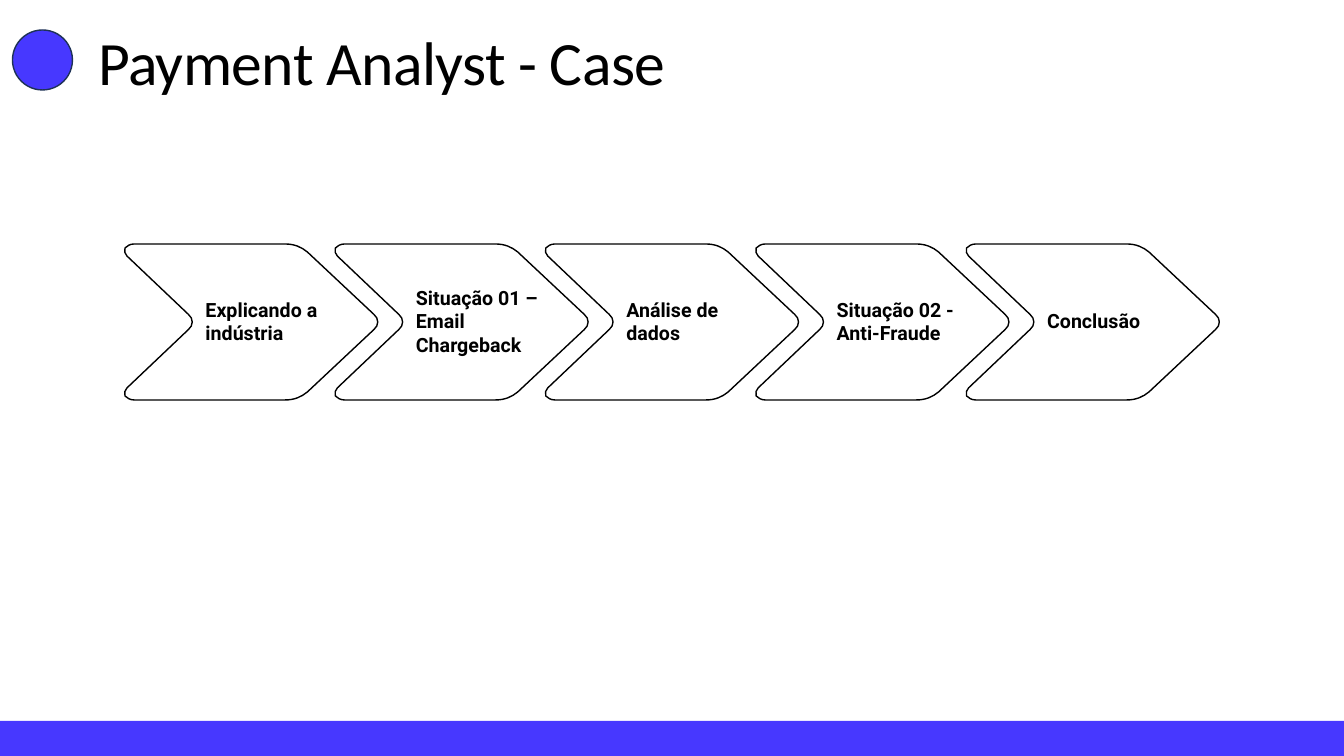
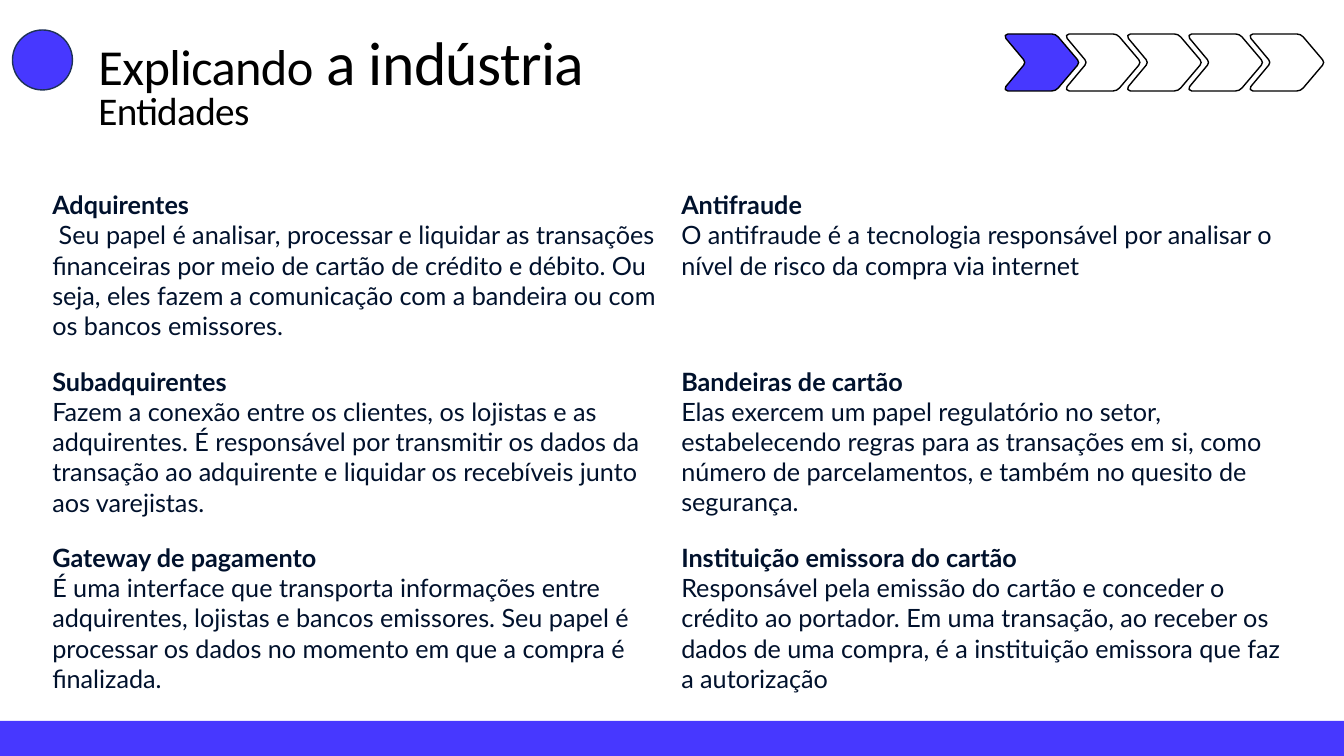
import pptx
import pptx.util
import pptx.dml.color
import pptx.enum.shapes
import pptx.enum.text
import pptx.oxml.ns
import lxml.etree

BLUE = pptx.dml.color.RGBColor(0x47, 0x38, 0xFF)
DARK_BLUE = pptx.dml.color.RGBColor(0x1E, 0x32, 0x56)
NAVY = pptx.dml.color.RGBColor(0x00, 0x11, 0x2C)
BLACK = pptx.dml.color.RGBColor(0x00, 0x00, 0x00)
WHITE = pptx.dml.color.RGBColor(0xFF, 0xFF, 0xFF)

SLIDE_W, SLIDE_H = 1344, 756
PX = 12192000 / SLIDE_W

BAND = (-30, 721, 1405, 73)
DOT = (12.5, 30, 60, 60)
TITLE = (97, 22, 658, 76)
SUBTITLE = (97, 85, 658, 49)

# Titles are lists of (text, size) runs.
CASE_TITLE = [("Payment Analyst - Case", 44)]
INDUSTRY_TITLE = [("Explicando", 36), (" a indústria", 44)]
INDUSTRY_SUBTITLE = [("Entidades", 28)]

# Agenda steps with the number of lines each label takes.
STEPS = [
    ("Explicando a indústria", 2),
    ("Situação 01 – Email Chargeback", 3),
    ("Análise de dados", 2),
    ("Situação 02 -\nAnti-Fraude", 2),
    ("Conclusão", 1),
]
AGENDA = dict(left=124, top=244, step=210.4, width=255, height=156)
TRACKER = dict(left=1005, top=34, step=61.25, width=74, height=57)
LABEL_INDENT, LABEL_MIDDLE, LABEL_W = 71.6, 321.2, 155
LABEL_LINE, LABEL_PAD = 23.7, 10

# Entities by column, top to bottom: name, role, height.
ENTITIES = [
    [
        ("Adquirentes",
         " Seu papel é analisar, processar e liquidar as transações financeiras "
         "por meio de cartão de crédito e débito. Ou seja, eles fazem a "
         "comunicação com a bandeira ou com os bancos emissores.", 163),
        ("Subadquirentes",
         "Fazem a conexão entre os clientes, os lojistas e as adquirentes. É "
         "responsável por transmitir os dados da transação ao adquirente e "
         "liquidar os recebíveis junto aos varejistas.", 163),
        ("Gateway de pagamento",
         "É uma interface que transporta informações entre adquirentes, "
         "lojistas e bancos emissores. Seu papel é processar os dados no "
         "momento em que a compra é finalizada.", 163),
    ],
    [
        ("Antifraude",
         "O antifraude é a tecnologia responsável por analisar o nível de "
         "risco da compra via internet", 102),
        ("Bandeiras de cartão",
         "Elas exercem um papel regulatório no setor, estabelecendo regras "
         "para as transações em si, como número de parcelamentos, e também no "
         "quesito de segurança.", 132),
        ("Instituição emissora do cartão",
         "Responsável pela emissão do cartão e conceder o crédito ao portador. "
         "Em uma transação, ao receber os dados de uma compra, é a instituição "
         "emissora que faz a autorização", 132),
    ],
]
ENTITY_LEFT, ENTITY_TOP = 42.4, 184.5
ENTITY_W, ENTITY_ROW = 629, 176.4

# Chevron corners as cubic curves on a 253 x 155 grid; straight lines join them.
GRID_W, GRID_H = 253, 155
TOP_CORNERS = [
    [(3, 12), (1, 10), (0, 7), (1, 4)],
    [(1, 4), (3, 2), (6, 0), (10, 0)],
    [(160, 0), (169, 0), (176, 3), (182, 8)],
]
TIP = [(248, 70), (253, 74), (253, 81), (248, 85)]
NOTCH = [(64, 85), (69, 81), (69, 74), (64, 70)]


def emu(*pixels):
    """Turn pixel lengths into EMU."""
    return [pptx.util.Emu(round(v * PX)) for v in pixels]


def paint(sp, fill, line=None):
    """Give a shape a flat fill, an optional 1 pt outline and no shadow."""
    sp.shadow.inherit = False
    sp.fill.solid()
    sp.fill.fore_color.rgb = fill
    if line is None:
        sp.line.fill.background()
    else:
        sp.line.color.rgb = line
        sp.line.width = pptx.util.Pt(1)


def style_run(r, font, size, color, bold=False):
    """Format one run."""
    r.font.name = font
    r.font.size = pptx.util.Pt(size)
    r.font.color.rgb = color
    r.font.bold = bold


def add_text(s, box, text, font, size, color, bold_paragraphs):
    """Add a wrapping text box whose first paragraphs are bold."""
    tf = s.shapes.add_textbox(*emu(*box)).text_frame
    tf.word_wrap = True
    tf.text = text
    for i, p in enumerate(tf.paragraphs):
        for r in p.runs:
            style_run(r, font, size, color, i < bold_paragraphs)


def fill_heading(sp, box, runs):
    """Place a title or subtitle and write its runs in the heading style."""
    sp.left, sp.top, sp.width, sp.height = emu(*box)
    tf = sp.text_frame
    tf.word_wrap = True
    tf.auto_size = pptx.enum.text.MSO_AUTO_SIZE.NONE
    tf.vertical_anchor = pptx.enum.text.MSO_ANCHOR.MIDDLE
    tf.margin_left = tf.margin_right = tf.margin_bottom = 0
    tf.margin_top = pptx.util.Pt(1)
    p = tf.paragraphs[0]
    p.alignment = pptx.enum.text.PP_ALIGN.LEFT
    p.space_before = pptx.util.Pt(1)
    p._p.get_or_add_pPr().set("marL", str(pptx.util.Pt(1)))
    for text, size in runs:
        r = p.add_run()
        r.text = text
        style_run(r, "Calibri", size, BLACK)
        r.font._element.set("spc", "-45")


def add_slide(prs, title):
    """Add a slide with the shared band, dot and title."""
    s = prs.slides.add_slide(prs.slide_layouts[5])
    shape = pptx.enum.shapes.MSO_SHAPE
    paint(s.shapes.add_shape(shape.RECTANGLE, *emu(*BAND)), BLUE)
    paint(s.shapes.add_shape(shape.OVAL, *emu(*DOT)), BLUE, DARK_BLUE)
    fill_heading(s.shapes.title, TITLE, title)
    return s


def chevron_outline():
    """List four points for each rounded corner, mirrored top to bottom."""
    bottom = [[(x, GRID_H - y) for x, y in reversed(c)]
              for c in reversed(TOP_CORNERS)]
    curves = TOP_CORNERS + [TIP] + bottom + [NOTCH]
    return [point for c in curves for point in c]


def round_corners(sp):
    """Turn the last three points of each group of four into one curve."""
    qn = pptx.oxml.ns.qn
    outline = next(sp._element.iter(qn("a:path")))
    segments = outline.findall(qn("a:lnTo"))
    for i in range(0, len(segments), 4):
        curve = lxml.etree.Element(qn("a:cubicBezTo"))
        segments[i].addprevious(curve)
        for segment in segments[i:i + 3]:
            curve.append(segment[0])
            outline.remove(segment)


def add_chevrons(s, left, top, step, width, height, active=None):
    """Draw one chevron for each step, with the active one in blue."""
    outline = chevron_outline()
    for i in range(len(STEPS)):
        points = [emu(left + i * step + x * width / GRID_W,
                      top + y * height / GRID_H) for x, y in outline]
        builder = s.shapes.build_freeform(*points[0], scale=1.0)
        builder.add_line_segments(points[1:], close=True)
        sp = builder.convert_to_shape()
        round_corners(sp)
        paint(sp, BLUE if i == active else WHITE, BLACK)


def build_agenda(prs):
    """Build the agenda slide."""
    s = add_slide(prs, CASE_TITLE)
    add_chevrons(s, **AGENDA)
    for i, (label, lines) in enumerate(STEPS):
        height = LABEL_PAD + lines * LABEL_LINE
        left = AGENDA["left"] + i * AGENDA["step"] + LABEL_INDENT
        add_text(s, (left, LABEL_MIDDLE - height / 2, LABEL_W, height),
                 label, "Roboto", 14, BLACK, bold_paragraphs=lines)


def build_industry(prs):
    """Build the slide that explains the entities of the industry."""
    s = add_slide(prs, INDUSTRY_TITLE)
    add_chevrons(s, **TRACKER, active=0)
    fill_heading(s.shapes.add_textbox(*emu(*SUBTITLE)), SUBTITLE, INDUSTRY_SUBTITLE)
    for col, entities in enumerate(ENTITIES):
        for row, (name, role, height) in enumerate(entities):
            box = (ENTITY_LEFT + col * ENTITY_W, ENTITY_TOP + row * ENTITY_ROW,
                   ENTITY_W, height)
            add_text(s, box, f"{name}\n{role}", "Lato", 18, NAVY, bold_paragraphs=1)


prs = pptx.Presentation()
prs.slide_width, prs.slide_height = emu(SLIDE_W, SLIDE_H)
build_agenda(prs)
build_industry(prs)
prs.save("out.pptx")
